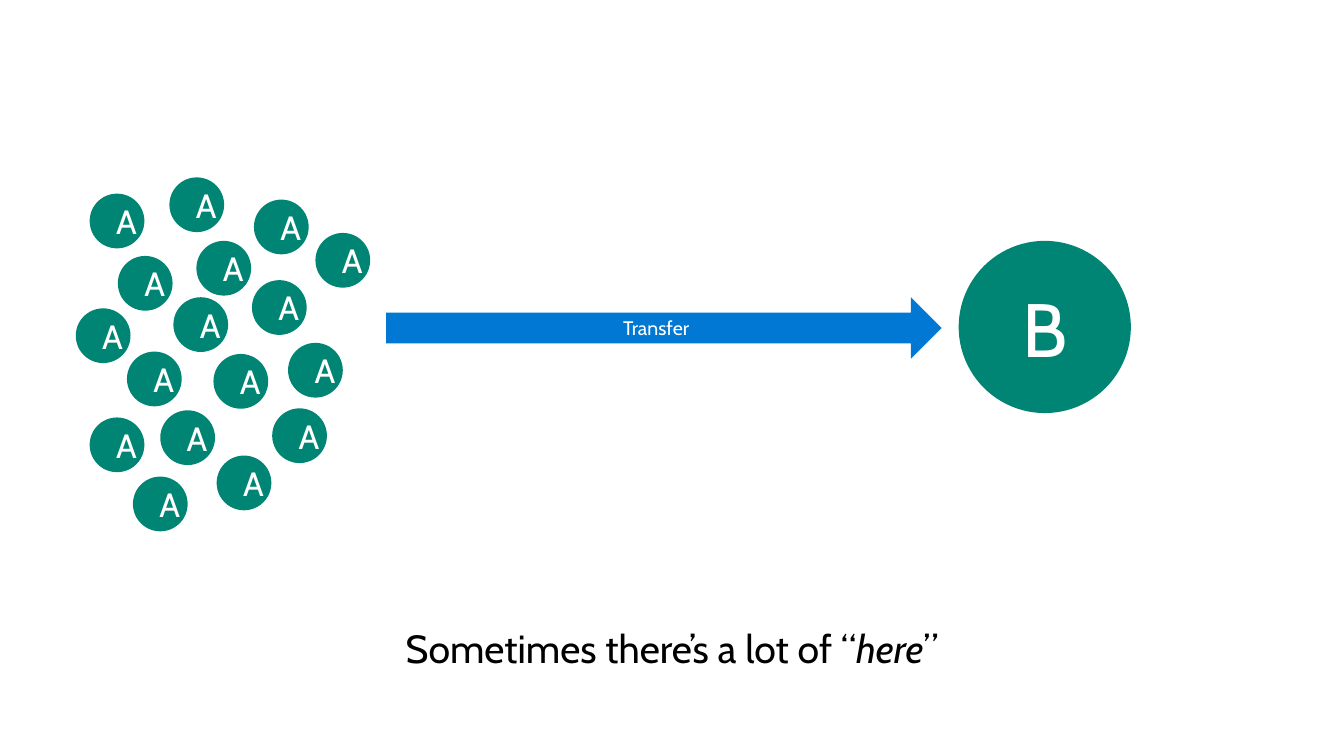
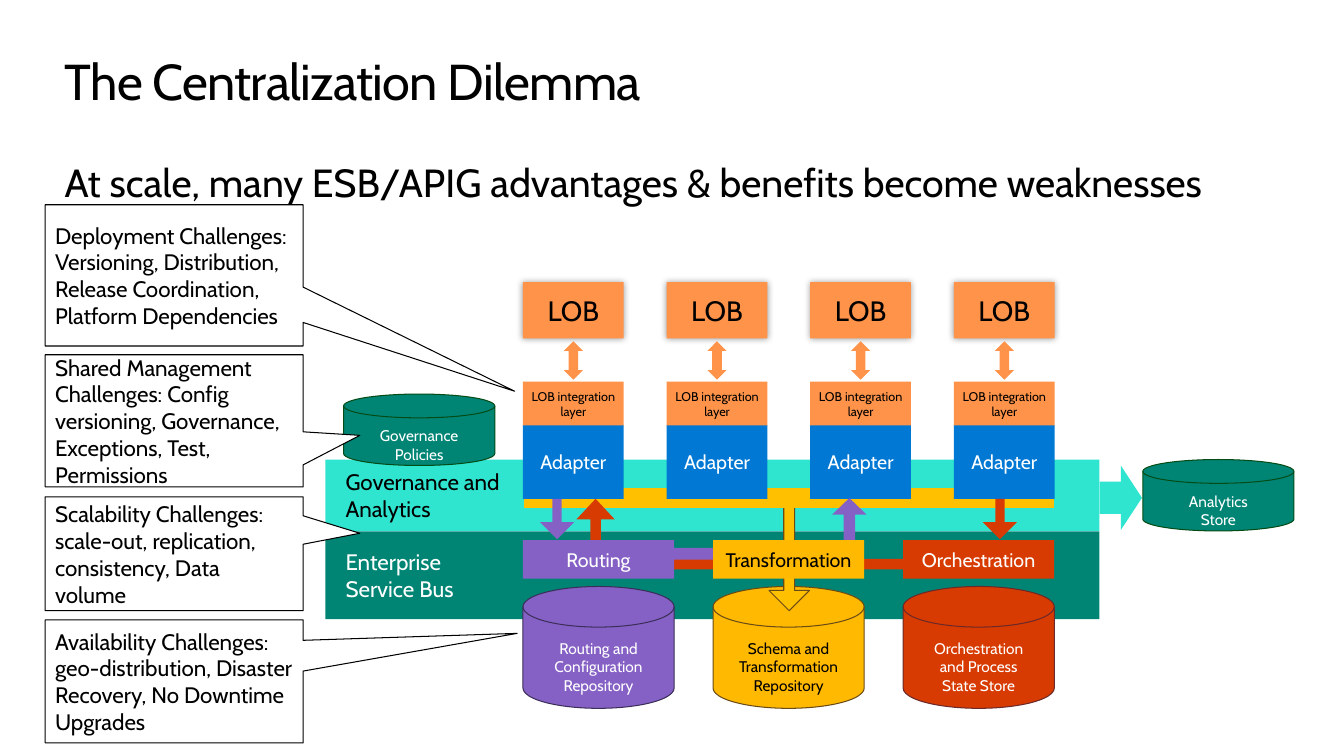
"""Build two slides on transfer at scale and the limits of centralized integration."""
from lxml.etree import SubElement
from pptx import Presentation
from pptx.dml.color import RGBColor as Rgb
from pptx.enum.shapes import MSO_SHAPE as Kind
from pptx.enum.text import MSO_ANCHOR as Anchor, MSO_AUTO_SIZE as Fit, PP_ALIGN as Align
from pptx.oxml.ns import qn
from pptx.util import Cm, Pt

HUES = {
    "black": "000000", "white": "FFFFFF", "teal": "008575", "aqua": "30E5D0",
    "blue": "0078D4", "orange": "FF9349", "purple": "8661C5", "yellow": "FFB900",
    "gold": "FFC000", "red": "D83B01", "pine": "054B16", "brown": "6A4B16",
    "maroon": "6B2929", "plum": "3B2E58",
}
HUES = {name: Rgb.from_string(code) for name, code in HUES.items()}
WIDE = (0.51, 0.41, 0.51, 0.41)
SLIM = (0.25, 0.41, 0.25, 0.41)
TIGHT = (0.13, 0.41, 0.13, 0.41)
EVEN = (0.25,) * 4
DISK = (0.51, 0.46, 0.51, 0)
BODY = {"size": 28, "ink": "black", "pad": (0,) * 4, "anchor": Anchor.TOP}
HEAD = BODY | {"size": 36}


def write(shape, text, size, ink="white", pad=WIDE, align=Align.LEFT, anchor=Anchor.MIDDLE):
    """Fill a shape with text; lines split at newlines, italics stand between asterisks."""
    frame = shape.text_frame
    sides = ("margin_left", "margin_top", "margin_right", "margin_bottom")
    look = dict(zip(sides, map(Cm, pad)))
    look |= {"word_wrap": True, "auto_size": Fit.NONE, "vertical_anchor": anchor}
    for key, val in look.items():
        setattr(frame, key, val)
    for row, line in enumerate(text.split("\n")):
        para = frame.add_paragraph() if row else frame.paragraphs[0]
        para.alignment, para.space_before = align, Pt(0)
        for part, words in enumerate(line.split("*")):
            run = para.add_run()
            run.text = words
            for key, val in {"name": "Cabin", "size": Pt(size), "italic": part % 2 == 1}.items():
                setattr(run.font, key, val)
            run.font.color.rgb = HUES[ink]


def draw(page, kind, box, fill, text="", size=14, line=None, adj=(), align=Align.CENTER, **form):
    """Add a filled preset shape with its box in centimetres."""
    shape = page.shapes.add_shape(kind, *map(Cm, box))
    shape.shadow.inherit = False
    shape.fill.solid()
    shape.fill.fore_color.rgb = HUES[fill]
    if line:
        shape.line.color.rgb, shape.line.width = HUES[line], Pt(0.75)
    else:
        shape.line.fill.background()
    for spot, val in enumerate(adj):
        shape.adjustments[spot] = val
    if text:
        write(shape, text, size, align=align, **form)
    return shape


deck = Presentation()
deck.slide_width, deck.slide_height = Cm(33.87), Cm(19.05)
plan = deck.slide_layouts[1]
many, hub = [deck.slides.add_slide(plan) for _ in range(2)]
title = many.shapes.title
title._element.getparent().remove(title._element)

holds = [
    (many.placeholders[1], 15.72, 1.19, "Sometimes there’s a lot of “*here*”", BODY | {"align": Align.CENTER}),
    (hub.shapes.title, 1.27, 1.55, "The Centralization Dilemma", HEAD),
    (hub.placeholders[1], 3.99, 1.19, "At scale, many ESB/APIG advantages & benefits become weaknesses", BODY),
]
for hold, top, high, text, form in holds:
    for key, val in {"left": 1.63, "top": top, "width": 30.61, "height": high}.items():
        setattr(hold, key, Cm(val))
    write(hold, text, **form)
    props = hold.text_frame.paragraphs[0]._p.get_or_add_pPr()
    props.set("marL", "0")
    props.set("indent", "0")
    SubElement(props, qn("a:buNone"))
for run in hub.shapes.title.text_frame.paragraphs[0].runs:
    run._r.get_or_add_rPr().set("spc", "-50")

spots = [
    (4.95, 6.07), (1.91, 7.77), (6.4, 5.03), (4.27, 4.47), (4.37, 7.49), (5.38, 8.92),
    (2.97, 6.45), (3.2, 8.86), (6.86, 10.29), (2.26, 4.88), (7.95, 5.87), (4.04, 10.34),
    (6.35, 7.06), (2.26, 10.52), (7.26, 8.64), (5.46, 11.48), (3.35, 12.01),
]
for spot in spots:
    draw(many, Kind.OVAL, (*spot, 1.38, 1.38), "teal", "A", 24)
draw(many, Kind.OVAL, (24.16, 6.07, 4.34, 4.34), "teal", "B", 54)
draw(many, Kind.RIGHT_ARROW, (9.73, 7.49, 14, 1.55), "blue", "Transfer")

bands = [
    (11.58, 1.8, "aqua", "Governance and\nAnalytics", "black"),
    (13.39, 2.21, "teal", "Enterprise\nService Bus", "white"),
]
for top, high, fill, text, ink in bands:
    draw(hub, Kind.RECTANGLE, (8.2, top, 19.51, high), fill, text, 16, ink=ink, align=Align.LEFT)
draw(hub, Kind.RIGHT_ARROW, (27.71, 11.73, 1.07, 1.63), "aqua")

first, step = 13.18, 4.79
disks = [
    (28.8, 11.58, 1.8, "teal", "pine", "Analytics\nStore", "white"),
    (8.66, 9.93, 1.8, "teal", "pine", "Governance\nPolicies", "white"),
    (first, 14.78, 3.07, "purple", "plum", "Routing and Configuration Repository", "white"),
    (first + step, 14.78, 3.07, "yellow", "brown", "Schema and Transformation Repository", "black"),
    (first + 2 * step, 14.78, 3.07, "red", "maroon", "Orchestration and Process State Store", "white"),
]
for left, top, high, fill, line, text, ink in disks:
    draw(hub, Kind.FLOWCHART_MAGNETIC_DISK, (left, top, 3.81, high), fill, text, 11, line, ink=ink, pad=DISK)

draw(hub, Kind.DOWN_ARROW, (19.38, 12.57, 1.02, 2.82), "gold", line="brown", adj=(0.27, 0.5))
draw(hub, Kind.FLOWCHART_PROCESS, (13.21, 12.29, 13.36, 0.51), "gold")

for col in range(4):
    left = first + 3.62 * col
    lob = draw(hub, Kind.RECTANGLE, (left, 7.11, 2.54, 1.42), "orange", "LOB", 20, ink="black")
    glow = SubElement(lob._element.spPr.find(qn("a:effectLst")), qn("a:outerShdw"), blurRad=str(Pt(5)), dist="0")
    tint = SubElement(glow, qn("a:srgbClr"), val=str(HUES["black"]))
    SubElement(tint, qn("a:alpha"), val="40000")
    draw(hub, Kind.UP_DOWN_ARROW, (left + 1.03, 8.6, 0.48, 0.97), "orange")
    draw(hub, Kind.RECTANGLE, (left, 9.62, 2.54, 1.12), "orange", "LOB integration layer", 9, ink="black", pad=TIGHT)
    draw(hub, Kind.RECTANGLE, (left, 10.72, 2.54, 1.85), "blue", "Adapter", pad=SLIM)

back = draw(hub, Kind.BENT_UP_ARROW, (14.53, 12.57, 8.41, 1.78), "red", adj=(0.15, 0.27, 0.29))
back._element.spPr.find(qn("a:xfrm")).set("flipH", "1")
draw(hub, Kind.BENT_UP_ARROW, (13.56, 12.55, 8.28, 1.55), "purple", adj=(0.19, 0.28, 0.27))
for left, fill in [(24.77, "red"), (13.61, "purple")]:
    draw(hub, Kind.DOWN_ARROW, (left, 12.57, 0.86, 1.02), fill, adj=(0.27, 0.5))

tasks = [("Routing", "purple", "white"), ("Transformation", "yellow", "black"), ("Orchestration", "red", "white")]
for col, (text, fill, ink) in enumerate(tasks):
    draw(hub, Kind.RECTANGLE, (first + step * col, 13.61, 3.81, 0.97), fill, text, ink=ink, pad=SLIM)

notes = [
    (5.16, 3.56, (1.32, 0.82), "Deployment Challenges: Versioning, Distribution, Release Coordination, Platform Dependencies"),
    (8.94, 3.33, (0.72, 0.11), "Shared Management Challenges: Config versioning, Governance, Exceptions, Test, Permissions"),
    (12.52, 2.87, (0.72, -0.18), "Scalability Challenges: scale-out, replication, consistency, Data volume"),
    (15.62, 3.1, (1.33, -0.39), "Availability Challenges: geo-distribution, Disaster Recovery, No Downtime Upgrades"),
]
for top, high, tip, text in notes:
    draw(hub, Kind.RECTANGULAR_CALLOUT, (1.14, top, 6.5, high), "white", text, 16, "black", tip,
         Align.LEFT, ink="black", pad=EVEN)

deck.save("out.pptx")
